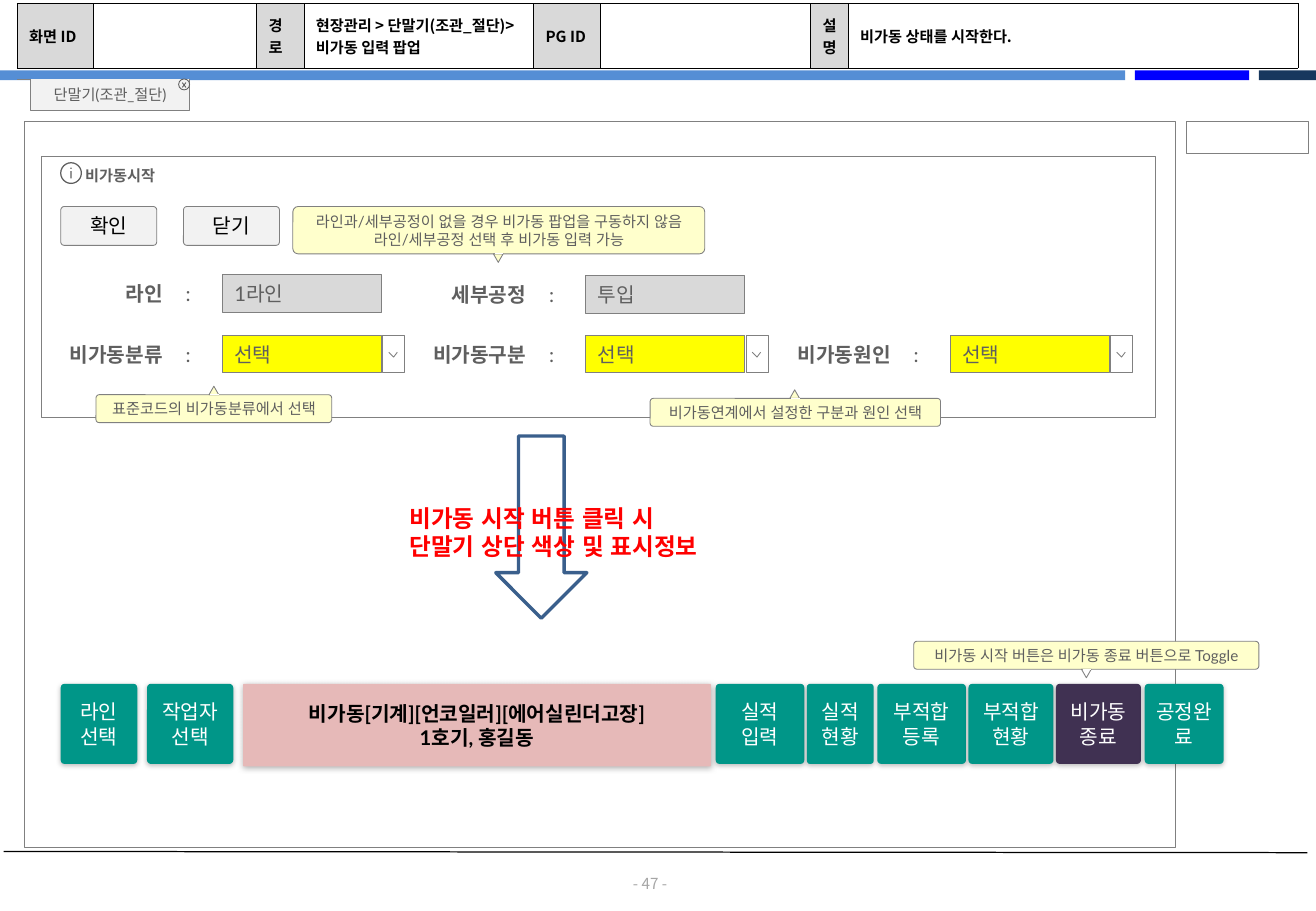
from dataclasses import dataclass
from typing import NamedTuple, Optional

from lxml.etree import SubElement
from pptx import Presentation
from pptx.dml.color import RGBColor
from pptx.enum.shapes import MSO_CONNECTOR, MSO_SHAPE
from pptx.enum.text import MSO_ANCHOR, PP_ALIGN
from pptx.oxml.ns import qn
from pptx.shapes.autoshape import Shape
from pptx.slide import Slide
from pptx.text.text import TextFrame
from pptx.util import Emu, Pt

PX = 9144  # EMU per px, 100 px to the inch

BLACK = RGBColor(0x00, 0x00, 0x00)
WHITE = RGBColor(0xFF, 0xFF, 0xFF)
GRAY = RGBColor(0x80, 0x80, 0x80)
INK = RGBColor(0x5F, 0x5F, 0x5F)
PALE = RGBColor(0xF2, 0xF2, 0xF2)
SILVER = RGBColor(0xD9, 0xD9, 0xD9)
MUTED = RGBColor(0xA6, 0xA6, 0xA6)
YELLOW = RGBColor(0xFF, 0xFF, 0x00)
CREAM = RGBColor(0xFF, 0xFF, 0xCC)
TEAL = RGBColor(0x00, 0x96, 0x88)
PLUM = RGBColor(0x40, 0x31, 0x52)
PINK = RGBColor(0xE6, 0xB9, 0xB8)
RED = RGBColor(0xFF, 0x00, 0x00)
NAVY = RGBColor(0x3A, 0x5F, 0x8C)
SKY = RGBColor(0x55, 0x8E, 0xD5)
BLUE = RGBColor(0x00, 0x00, 0xFF)
DEEP = RGBColor(0x17, 0x37, 0x5E)

LEFT, CENTER, RIGHT = PP_ALIGN.LEFT, PP_ALIGN.CENTER, PP_ALIGN.RIGHT
TOP, MIDDLE, BOTTOM = MSO_ANCHOR.TOP, MSO_ANCHOR.MIDDLE, MSO_ANCHOR.BOTTOM


class Box(NamedTuple):
    x: int
    y: int
    w: int
    h: int


class Face(NamedTuple):
    name: str
    size: int
    color: RGBColor
    bold: bool = False


class Pad(NamedTuple):
    left: int = 10
    top: int = 5
    right: int = 10
    bottom: int = 5


@dataclass
class Field:
    x: int
    y: int
    label: str
    value: str
    pick: bool = False


@dataclass
class Callout:
    box: Box
    tip: int
    text: str
    up: bool = False
    fill: RGBColor = CREAM
    anchor: MSO_ANCHOR = BOTTOM


@dataclass
class Button:
    x: int
    w: int
    text: str
    fill: RGBColor = TEAL


SMALL = Face("Lato", 9, INK)
BODY = Face("Lato", 12, INK)
HEAD = Face("Noto Sans CJK KR", 9, BLACK, True)

BARS = [(0, 926, SKY), (934, 94, BLUE), (1036, 47, DEEP)]
HEADER = [(63, "화면 ID"), (134, ""), (39, "경로"),
          (189, "현장관리 > 단말기(조관_절단)>비가동 입력 팝업"),
          (55, "PG ID"), (173, ""), (31, "설명"), (370, "비가동 상태를 시작한다.")]
FIELDS = [Field(183, 276, "비가동분류", "선택", True),
          Field(482, 276, "비가동구분", "선택", True),
          Field(782, 276, "비가동원인", "선택", True),
          Field(183, 226, "라인", "1라인"),
          Field(482, 227, "세부공정", "투입")]
CALLOUTS = [
    Callout(Box(79, 325, 194, 23), 172, "표준코드의 비가동분류에서 선택", True, anchor=TOP),
    Callout(Box(535, 328, 239, 23), 650, "비가동연계에서 설정한 구분과 원인 선택", True, anchor=TOP),
    Callout(Box(752, 528, 284, 23), 890, "비가동 시작 버튼은 비가동 종료 버튼으로 Toggle", fill=WHITE),
    Callout(Box(241, 170, 339, 39), 406, "라인과/세부공정이 없을 경우 비가동 팝업을 구동하지 않음\n"
            "라인/세부공정 선택 후 비가동 입력 가능")]
BUTTONS = [Button(50, 63, "라인\n선택"), Button(121, 71, "작업자선택"),
           Button(589, 73, "실적\n입력"), Button(664, 55, "실적\n현황"),
           Button(722, 73, "부적합\n등록"), Button(797, 70, "부적합\n현황"),
           Button(869, 70, "비가동종료", PLUM), Button(942, 65, "공정완료")]


def scale(*values: int) -> list[Emu]:
    return [Emu(value * PX) for value in values]


def add_run(para, text: str, face: Face):
    run = para.add_run()
    run.text = text
    looks = {"name": face.name, "size": Pt(face.size), "bold": face.bold}
    for key, value in looks.items():
        setattr(run.font, key, value)
    run.font.color.rgb = face.color
    rpr = run._r.get_or_add_rPr()
    SubElement(rpr, qn("a:ea")).set("typeface", face.name)
    return rpr


def set_frame(frame: TextFrame, anchor: MSO_ANCHOR, pad: Pad, wrap: bool = True) -> None:
    looks = {f"margin_{side}": Emu(size * PX) for side, size in pad._asdict().items()}
    looks |= {"vertical_anchor": anchor, "word_wrap": wrap}
    for key, value in looks.items():
        setattr(frame, key, value)


def write(shape: Shape, text: str, face: Face, align: PP_ALIGN = CENTER,
          anchor: MSO_ANCHOR = MIDDLE, pad: Pad = Pad(), wrap: bool = True) -> None:
    frame = shape.text_frame
    set_frame(frame, anchor, pad, wrap)
    for i, line in enumerate(text.split("\n")):
        para = frame.add_paragraph() if i else frame.paragraphs[0]
        para.alignment = align
        add_run(para, line, face)


def paint(shape: Shape, fill: Optional[RGBColor], line: Optional[RGBColor], weight: float) -> Shape:
    shape.shadow.inherit = False
    for part, color in ((shape.fill, fill), (shape.line.fill, line)):
        if color is None:
            part.background()
        else:
            part.solid()
            part.fore_color.rgb = color
    if line is not None:
        shape.line.width = Pt(weight)
    return shape


def draw(slide: Slide, box: Box, fill: Optional[RGBColor] = None, line: Optional[RGBColor] = GRAY,
         weight: float = 0.5, kind: MSO_SHAPE = MSO_SHAPE.RECTANGLE, bend: Optional[float] = None) -> Shape:
    shape = slide.shapes.add_shape(kind, *scale(*box))
    if bend is not None:
        shape.adjustments[0] = bend
    return paint(shape, fill, line, weight)


def outline(slide: Slide, points: list[tuple[int, int]], fill: RGBColor) -> Shape:
    """Draw an open path through the points."""
    path = slide.shapes.build_freeform(*points[0], scale=PX)
    path.add_line_segments(points[1:], close=False)
    return paint(path.convert_to_shape(), fill, GRAY, 0.5)


def rule(slide: Slide, x1: int, y1: int, x2: int, y2: int, color: RGBColor, weight: float = 0.5) -> None:
    line = slide.shapes.add_connector(MSO_CONNECTOR.STRAIGHT, *scale(x1, y1, x2, y2))
    line.line.color.rgb = color
    line.line.width = Pt(weight)
    SubElement(line._element.spPr, qn("a:effectLst"))


def cast(shape: Shape, blur: int, alpha: int) -> None:
    """Give the shape a soft shadow straight below."""
    effects = shape._element.spPr.find(qn("a:effectLst"))
    shade = SubElement(effects, qn("a:outerShdw"), blurRad=str(Pt(blur)), dist=str(Pt(1)),
                       dir="5400000", algn="t", rotWithShape="0")
    color = SubElement(shade, qn("a:srgbClr"), val=str(BLACK))
    SubElement(color, qn("a:alpha"), val=str(alpha * 1000))


def add_header(slide: Slide) -> None:
    width = sum(w for w, _ in HEADER)
    table = slide.shapes.add_table(1, len(HEADER), *scale(14, 3, width, 53)).table
    table.first_row = table.horz_banding = False
    for i, (w, text) in enumerate(HEADER):
        table.columns[i].width = Emu(w * PX)
        cell = table.cell(0, i)
        cell.vertical_anchor = MIDDLE
        para = cell.text_frame.paragraphs[0]
        if text:
            add_run(para, text, HEAD)
        else:
            para.font.size = Pt(HEAD.size)
        props = cell._tc.get_or_add_tcPr()
        for side in ("lnL", "lnR", "lnT", "lnB"):
            edge = SubElement(props, qn(f"a:{side}"), w=str(Pt(0.25)))
            SubElement(SubElement(edge, qn("a:solidFill")), qn("a:srgbClr"), val=str(BLACK))
        cell.fill.solid()
        cell.fill.fore_color.rgb = WHITE if i % 2 else SILVER


def add_field(slide: Slide, field: Field) -> None:
    x, y = field.x, field.y
    entry = draw(slide, Box(x, y, 131, 31), YELLOW if field.pick else SILVER)
    write(entry, field.value, BODY, LEFT, pad=Pad(10, 6, 10, 6))
    if field.pick:
        draw(slide, Box(x + 132, y, 18, 31), WHITE)
        outline(slide, [(x + 144, y + 14), (x + 141, y + 18), (x + 137, y + 14)], WHITE)
    frame = slide.shapes.add_textbox(*scale(x - 137, y, 128, 31)).text_frame
    set_frame(frame, MIDDLE, Pad(8, 6, 17, 6))
    para = frame.paragraphs[0]
    para.alignment = RIGHT
    add_run(para, field.label, BODY._replace(bold=True))
    add_run(para, " ", BODY).set("spc", "1050")
    add_run(para, ":", BODY)


def add_callout(slide: Slide, note: Callout) -> None:
    box = note.box
    edge = box.y if note.up else box.y + box.h
    body = draw(slide, box, CREAM, kind=MSO_SHAPE.ROUNDED_RECTANGLE, bend=0.114)
    write(body, note.text, SMALL, anchor=note.anchor, pad=Pad(5, 3, 5, 3), wrap=False)
    tip = draw(slide, Box(note.tip, edge - 7 if note.up else edge, 8, 7), note.fill,
               kind=MSO_SHAPE.ISOSCELES_TRIANGLE)
    tip.rotation = 0 if note.up else 180
    rule(slide, note.tip + 1, edge, note.tip + 8, edge, WHITE)


def add_tab(slide: Slide) -> None:
    rule(slide, 25, 65, 14, 65, GRAY)
    tab = outline(slide, [(156, 65), (156, 91), (25, 91), (25, 65)], PALE)
    write(tab, "단말기(조관_절단)", SMALL, pad=Pad(5, 5, 5, 5))
    draw(slide, Box(147, 65, 9, 9), line=INK, kind=MSO_SHAPE.OVAL)
    for y1, y2 in ((68, 72), (72, 68)):
        rule(slide, 150, y1, 153, y2, INK)


def add_title(slide: Slide) -> None:
    title = draw(slide, Box(62, 133, 79, 23), WHITE, None)
    write(title, "비가동시작", SMALL._replace(bold=True), LEFT, TOP, Pad(8, 4, 8, 4), False)
    draw(slide, Box(50, 134, 17, 17), line=INK, weight=0.75, kind=MSO_SHAPE.OVAL)
    for y, h in ((138, 1), (141, 6)):
        draw(slide, Box(58, y, 1, h), INK, None)


def main() -> None:
    deck = Presentation()
    deck.slide_width, deck.slide_height = scale(1083, 750)
    slide = deck.slides.add_slide(deck.slide_layouts[6])
    for x, w, color in BARS:
        draw(slide, Box(x, 58, w, 8), color, None)
    rule(slide, 3, 701, 1076, 702, BLACK, 0.75)
    page = slide.shapes.add_textbox(*scale(505, 720, 60, 15))
    write(page, "- 47 -", Face("Noto Sans CJK KR", 9, MUTED), pad=Pad(0, 0, 0, 0))
    draw(slide, Box(20, 100, 947, 598))
    add_header(slide)
    add_tab(slide)
    draw(slide, Box(976, 100, 101, 26), WHITE)
    draw(slide, Box(34, 129, 917, 215))
    add_title(slide)
    for x, text in ((50, "확인"), (151, "닫기")):
        key = draw(slide, Box(x, 170, 79, 32), PALE, kind=MSO_SHAPE.ROUNDED_RECTANGLE, bend=0.088)
        write(key, text, Face("Arial", 12, BLACK))
    for field in FIELDS:
        add_field(slide, field)
    for button in BUTTONS:
        shape = draw(slide, Box(button.x, 563, button.w, 66), button.fill, None,
                     kind=MSO_SHAPE.ROUNDED_RECTANGLE, bend=0.05)
        cast(shape, 3, 25)
        write(shape, button.text, BODY._replace(color=WHITE), pad=Pad(8, 5, 8, 5))
    status = draw(slide, Box(200, 563, 385, 68), PINK, None,
                  kind=MSO_SHAPE.ROUNDED_RECTANGLE, bend=0.014)
    cast(status, 4, 30)
    write(status, "비가동[기계][언코일러][에어실린더고장]\n1호기, 홍길동", Face("Lato", 12, BLACK, True))
    draw(slide, Box(408, 359, 75, 150), WHITE, NAVY, 2, MSO_SHAPE.DOWN_ARROW)
    remark = slide.shapes.add_textbox(*scale(327, 410, 299, 57))
    write(remark, "비가동 시작 버튼 클릭 시\n단말기 상단 색상 및 표시정보",
          Face("Arial", 14, RED, True), LEFT, TOP)
    for note in CALLOUTS:
        add_callout(slide, note)
    deck.save("out.pptx")


if __name__ == "__main__":
    main()
